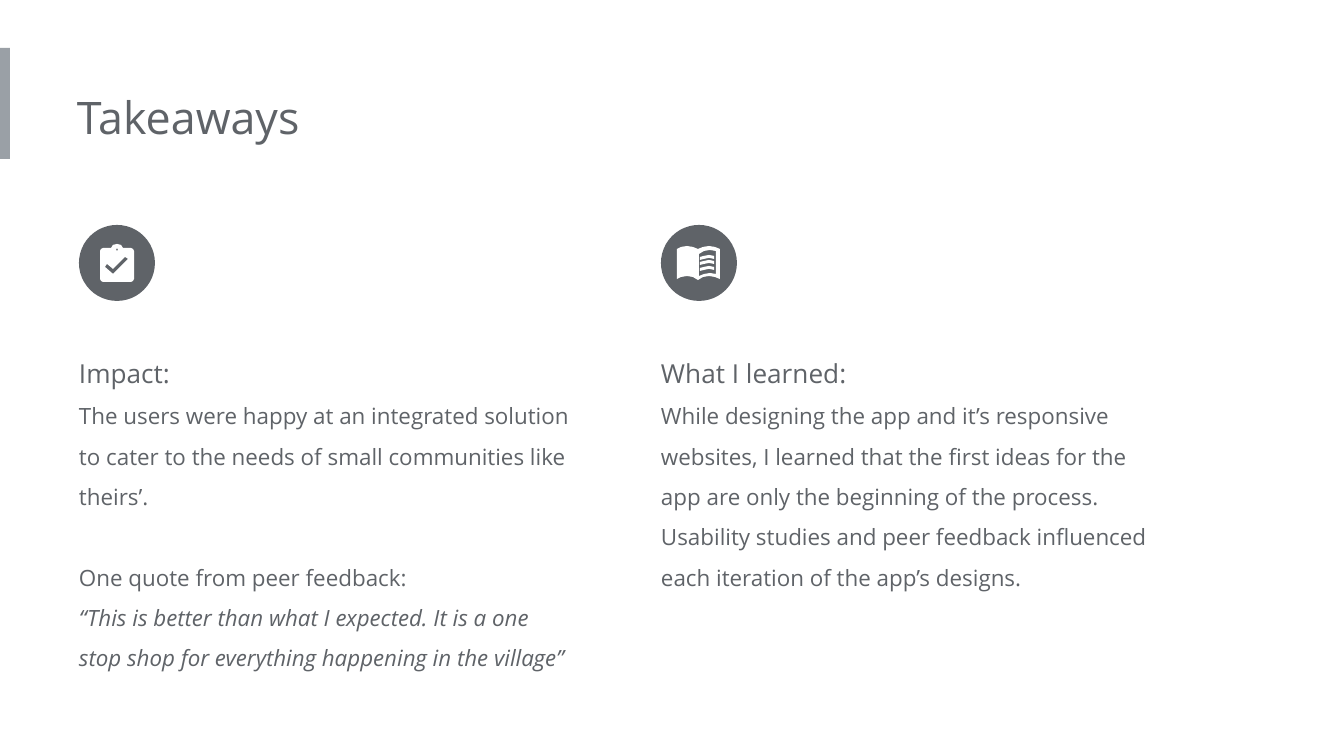
from lxml.etree import SubElement
from pptx import Presentation
from pptx.dml.color import RGBColor
from pptx.enum.shapes import MSO_SHAPE
from pptx.enum.text import MSO_ANCHOR, MSO_AUTO_SIZE, PP_ALIGN
from pptx.oxml.ns import qn
from pptx.util import Pt

PX = 914400 / 134.4
FONT = "Open Sans"
GREY, SILVER, WHITE = "5F6368", "9AA0A6", "FFFFFF"
INSET = 13
CIRCLE_TOP, CIRCLE_SIZE = 225, 76
TEXT_TOP, TEXT_WIDTH = 329, 507

TITLE = "Takeaways"
COLUMNS = [
    {
        "left": 79,
        "height": 360,
        "paragraphs": [
            ("Impact:", 14, False, 0),
            ("The users were happy at an integrated solution to cater to the "
             "needs of small communities like theirs’.", 12, False, 0),
            ("One quote from peer feedback:", 12, False, 21.6),
            ("“This is better than what I expected. It is a one stop shop for "
             "everything happening in the village”", 12, True, 0),
        ],
    },
    {
        "left": 661,
        "height": 278,
        "paragraphs": [
            ("What I learned:", 14, False, 0),
            ("While designing the app and it’s responsive websites, I learned "
             "that the first ideas for the app are only the beginning of the "
             "process. Usability studies and peer feedback influenced each "
             "iteration of the app’s designs.", 12, False, 0),
        ],
    },
]

CLIPBOARD = [
    [(103, 248), (111, 248), (113, 245), (117, 244), (121, 245), (123, 248),
     (131, 248), (133, 249), (134, 251), (134, 279), (133, 281), (131, 282),
     (103, 282), (101, 281), (100, 279), (100, 251), (101, 249)],
    [(117, 248), (118, 250), (117, 251), (116, 250)],
    [(113, 274), (105, 267), (107, 264), (113, 269), (125, 257), (128, 259)],
]
BOOK = [
    [(677, 249), (681, 247), (687, 246), (693, 247), (698, 249), (703, 247),
     (709, 246), (715, 247), (720, 249), (720, 279), (715, 277), (709, 276),
     (703, 277), (698, 280), (693, 277), (687, 276), (681, 277), (677, 279)],
    [(699, 254), (704, 251), (710, 250), (716, 251), (716, 274), (710, 273),
     (704, 274), (699, 276)],
]
BOOK_LINE = [(700, 257), (704, 256), (709, 255), (714, 256),
             (714, 259), (709, 258), (704, 259), (700, 260)]
BOOK_LINE_OFFSETS = [0, 5, 11]


def px(value):
    return round(value * PX)


def color(value):
    return RGBColor.from_string(value)


def paint(shape, fill):
    shape.shadow.inherit = False
    shape.fill.solid()
    shape.fill.fore_color.rgb = color(fill)
    shape.line.fill.background()


def add_preset(page, kind, bounds, fill):
    paint(page.shapes.add_shape(kind, *map(px, bounds)), fill)


def add_outline(page, contours):
    builder = page.shapes.build_freeform(*contours[0][0], scale=PX)
    for index, points in enumerate(contours):
        if index:
            builder.move_to(*points[0])
        builder.add_line_segments(points[1:], close=True)
    paint(builder.convert_to_shape(), WHITE)


def place_text(box, bounds, paragraphs, spacing):
    box.left, box.top, box.width, box.height = map(px, bounds)
    frame = box.text_frame
    frame.word_wrap = True
    frame.auto_size = MSO_AUTO_SIZE.SHAPE_TO_FIT_TEXT
    frame.vertical_anchor = MSO_ANCHOR.TOP
    frame.margin_left = 0
    frame.margin_top = frame.margin_right = frame.margin_bottom = px(INSET)
    for index, (text, size, italic, before) in enumerate(paragraphs):
        para = frame.add_paragraph() if index else frame.paragraphs[0]
        properties = para._p.get_or_add_pPr()
        properties.set("marL", "0")
        properties.set("indent", "0")
        SubElement(properties, qn("a:buNone"))
        para.alignment = PP_ALIGN.LEFT
        para.line_spacing = spacing
        para.space_before = Pt(before)
        para.space_after = Pt(0)
        span = para.add_run()
        span.text = text
        span.font.name = FONT
        span.font.size = Pt(size)
        span.font.italic = italic
        span.font.color.rgb = color(GREY)


def main():
    deck = Presentation()
    deck.slide_width, deck.slide_height = px(1344), px(756)
    page = deck.slides.add_slide(deck.slide_layouts[3])
    title, *bodies = page.placeholders

    add_preset(page, MSO_SHAPE.RECTANGLE, (0, 48, 10, 111), SILVER)
    place_text(title, (77, 77, 724, 82), [(TITLE, 24, False, 0)], 1.0)
    for body, column in zip(bodies, COLUMNS):
        left = column["left"]
        place_text(body, (left, TEXT_TOP, TEXT_WIDTH, column["height"]),
                   column["paragraphs"], 1.5)
        add_preset(page, MSO_SHAPE.OVAL,
                   (left, CIRCLE_TOP, CIRCLE_SIZE, CIRCLE_SIZE), GREY)

    add_outline(page, CLIPBOARD)
    add_outline(page, BOOK)
    for offset in BOOK_LINE_OFFSETS:
        add_outline(page, [[(x, y + offset) for x, y in BOOK_LINE]])
    deck.save("out.pptx")


if __name__ == "__main__":
    main()
